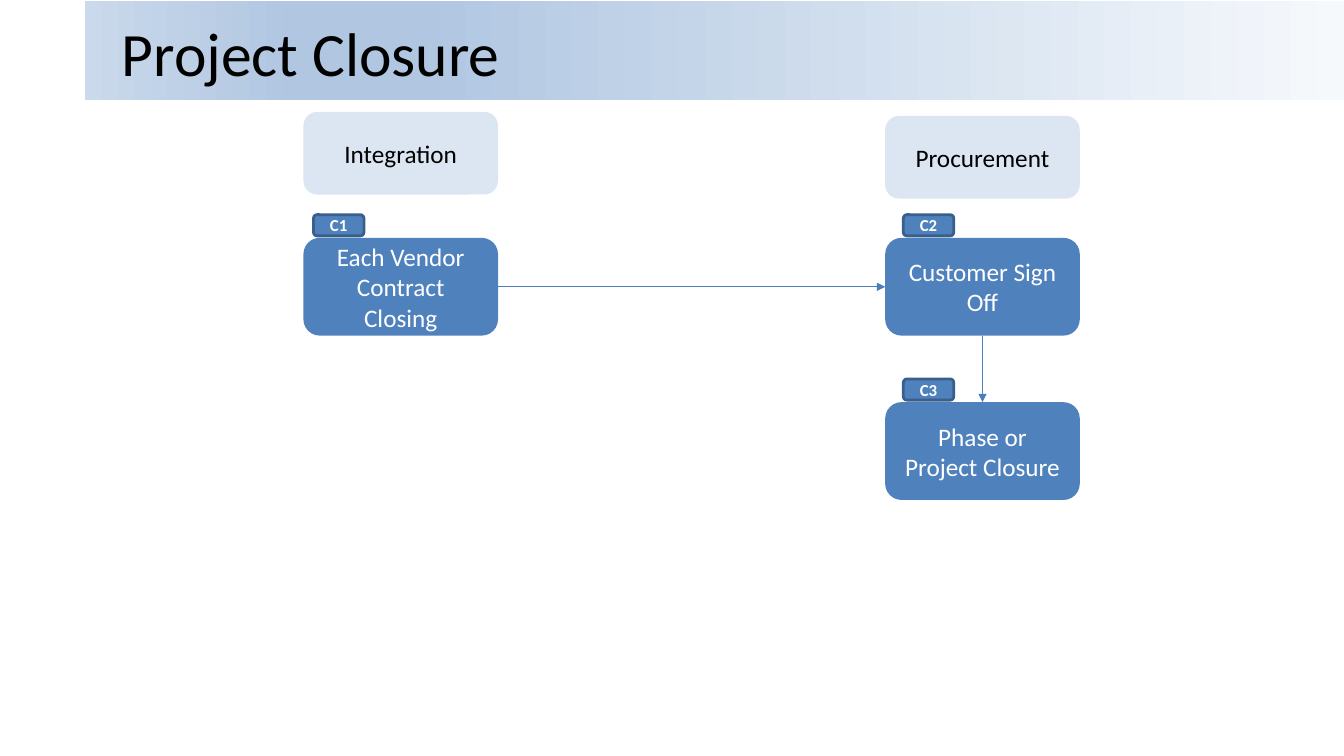
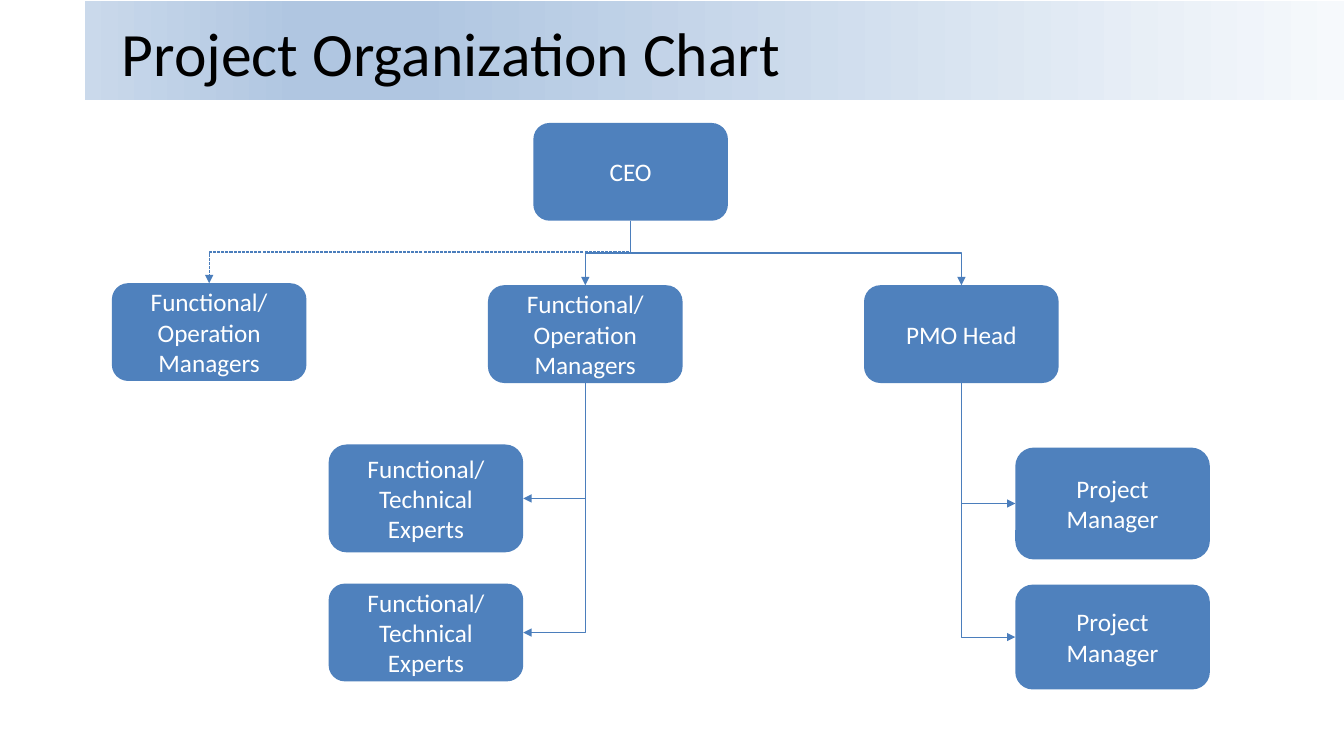
from lxml import etree
from pptx import Presentation
from pptx.dml.color import RGBColor
from pptx.enum.dml import MSO_LINE
from pptx.enum.shapes import MSO_CONNECTOR, MSO_SHAPE
from pptx.enum.text import MSO_ANCHOR, PP_ALIGN
from pptx.oxml.ns import qn
from pptx.util import Inches, Pt

RECT, ROUND = MSO_SHAPE.RECTANGLE, MSO_SHAPE.ROUNDED_RECTANGLE
STRAIGHT, ELBOW = MSO_CONNECTOR.STRAIGHT, MSO_CONNECTOR.ELBOW
MIDDLE, CENTER, LEFT = MSO_ANCHOR.MIDDLE, PP_ALIGN.CENTER, PP_ALIGN.LEFT
DASH = MSO_LINE.SQUARE_DOT
TOP, WEST, BOTTOM, EAST = range(4)

# Shared look
FONT = "Calibri"
BLUE, PALE, EDGE, WIRE = "4F81BD", "DCE6F2", "3A5F8C", "4B7EBC"
BLACK, WHITE = "000000", "FFFFFF"
BAND = [(0, "F6F9FC"), (74, "B0C6E1"), (83, "B0C6E1"), (100, "CAD9EB")]

# Shared grid, in inches
WIDE, HIGH = 13.33, 7.5
BOX_W, BOX_H = 1.93, 0.97
EDGE_X, STEP_X = 1.11, 3.73


def color(text):
    return RGBColor.from_string(text)


def write(shape, text, size, ink, align=CENTER, bold=False):
    frame = shape.text_frame
    frame.text = text
    frame.word_wrap = True
    frame.vertical_anchor = MIDDLE
    par = frame.paragraphs[0]
    par.alignment = align
    font = par.runs[0].font
    font.name, font.size, font.bold = FONT, Pt(size), bold
    font.color.rgb = color(ink)


def block(slide, x, y, w, h, kind=ROUND, fill=BLUE):
    shape = slide.shapes.add_shape(kind, *map(Inches, (x, y, w, h)))
    shape.shadow.inherit = False
    shape.fill.solid()
    shape.fill.fore_color.rgb = color(fill)
    shape.line.fill.background()
    return shape


def box(slide, text, x, y, h=BOX_H, fill=BLUE, ink=WHITE):
    shape = block(slide, x, y, BOX_W, h, fill=fill)
    write(shape, text, 18, ink)
    return shape


def badge(slide, text, x, y):
    shape = block(slide, x, y, 0.5, 0.21)
    shape.line.color.rgb = color(EDGE)
    shape.line.width = Pt(2)
    write(shape, text, 12, WHITE, bold=True)


def shade(shape, stops):
    shape.fill.gradient()
    shape.fill.gradient_angle = 180
    items = shape._element.spPr.find(".//" + qn("a:gsLst"))
    for old in list(items):
        items.remove(old)
    for share, tone in stops:
        stop = etree.SubElement(items, qn("a:gs"), pos=str(share * 1000))
        etree.SubElement(stop, qn("a:srgbClr"), val=tone)


def page(deck, title):
    slide = deck.slides.add_slide(deck.slide_layouts[6])
    shade(block(slide, 0.84, 0.01, WIDE - 0.84, 0.98, RECT), BAND)
    head = slide.shapes.add_textbox(*map(Inches, (1.11, 0.06, 11.78, 0.91)))
    write(head, title, 44, BLACK, LEFT)
    return slide


def wire(slide, kind, start, out, end, into, dash=None):
    """Join two boxes with a thin arrow."""
    link = slide.shapes.add_connector(kind, 0, 0, 0, 0)
    link.begin_connect(start, out)
    link.end_connect(end, into)
    link.line.color.rgb = color(WIRE)
    link.line.width = Pt(0.75)
    if dash:
        link.line.dash_style = dash
    etree.SubElement(link.line._get_or_add_ln(), qn("a:tailEnd"), type="triangle")
    etree.SubElement(link._element.spPr, qn("a:effectLst"))
    return link


def bend(slide, start, end, into=TOP, dash=None):
    """Leave the bottom of one box and turn towards another."""
    link = wire(slide, ELBOW, start, BOTTOM, end, into, dash)
    x, y = link.begin_x, link.begin_y
    run, drop = link.end_x - x, link.end_y - y
    # The elbow preset starts sideways, so it is turned to start downwards
    link.left = int(x + (run - drop) / 2)
    link.top = int(y + (drop - abs(run)) / 2)
    link.width, link.height = drop, abs(run)
    right = run > 0
    frame = link._element.spPr.find(qn("a:xfrm"))
    frame.set("rot", str((270 if right else 90) * 60000))
    frame.set("flipH", "1" if right else "0")
    frame.set("flipV", "0")
    if into != TOP:
        link._element.spPr.find(qn("a:prstGeom")).set("prst", "bentConnector2")


def closure(deck):
    slide = page(deck, "Project Closure")
    left, right = 3.01, 8.78
    upper, lower = 2.36, 3.99

    # Steps
    vendor = box(slide, "Each Vendor Contract Closing", left, upper)
    sign = box(slide, "Customer Sign Off", right, upper)
    phase = box(slide, "Phase or Project Closure", right, lower)
    wire(slide, STRAIGHT, vendor, EAST, sign, WEST)
    wire(slide, STRAIGHT, sign, BOTTOM, phase, TOP)

    # Column heads
    for text, x, y in [("Procurement", right, 1.15), ("Integration", left, 1.11)]:
        box(slide, text, x, y, 0.82, PALE, BLACK)

    # Step numbers
    for text, x, y in [("C1", left + 0.1, upper), ("C2", right + 0.18, upper),
                       ("C3", right + 0.18, lower)]:
        badge(slide, text, x, y - 0.23)


def chart(deck):
    slide = page(deck, "Project Organization Chart")
    cols = [EDGE_X + STEP_X * i for i in range(3)]
    crew = "Functional/ Operation Managers"

    # Top two levels
    chief = box(slide, "CEO", 5.29, 1.22)
    side = box(slide, crew, cols[0], 2.81)
    lead = box(slide, crew, cols[1], 2.83)
    office = box(slide, "PMO Head", cols[2], 2.83)
    bend(slide, chief, office)
    bend(slide, chief, lead)
    bend(slide, chief, side, dash=DASH)

    # Teams: head, text, left, side entered, tops and heights
    teams = [
        (lead, "Functional/ Technical Experts", 3.26, EAST,
         [(4.41, 1.07), (5.79, BOX_H)]),
        (office, "Project Manager", 10.07, WEST, [(4.44, 1.11), (5.8, 1.04)]),
    ]
    for head, text, x, into, rows in teams:
        for y, h in rows:
            bend(slide, head, box(slide, text, x, y, h), into)


def main():
    deck = Presentation()
    deck.slide_width, deck.slide_height = Inches(WIDE), Inches(HIGH)
    closure(deck)
    chart(deck)
    deck.save("out.pptx")


if __name__ == "__main__":
    main()
